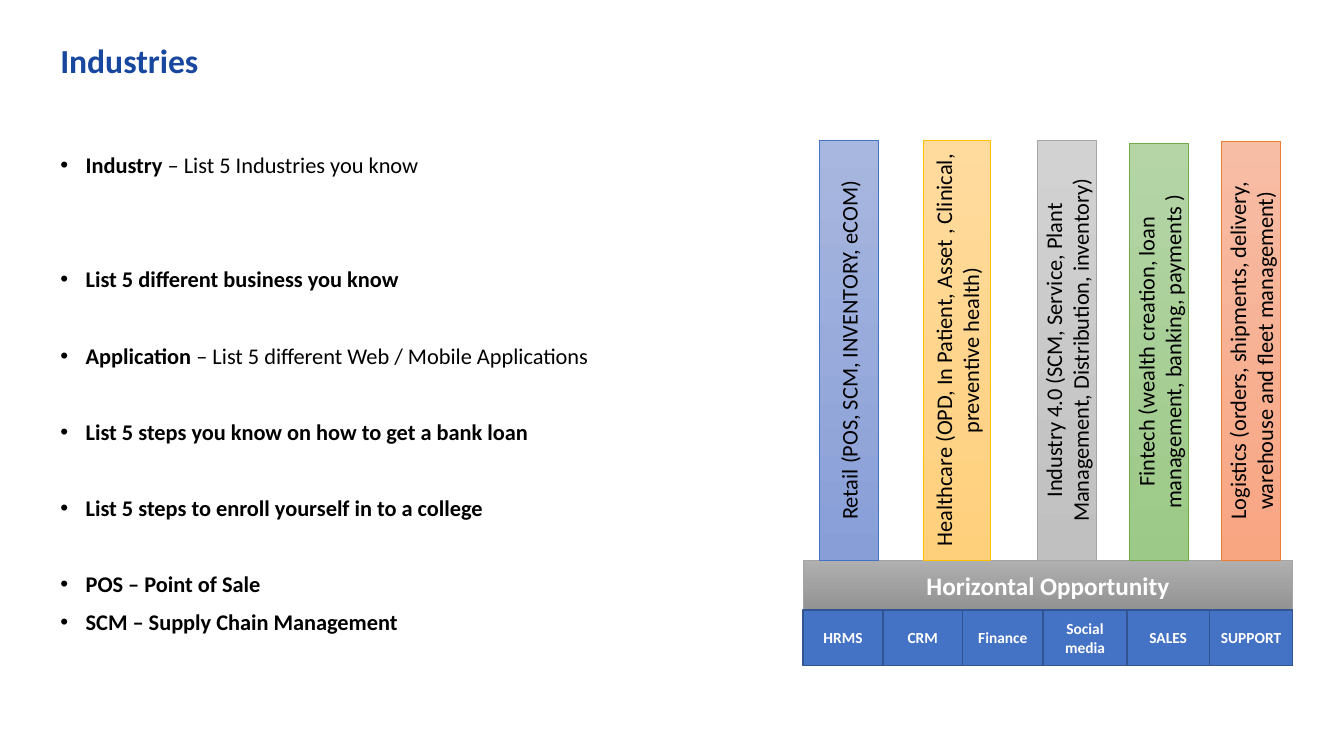
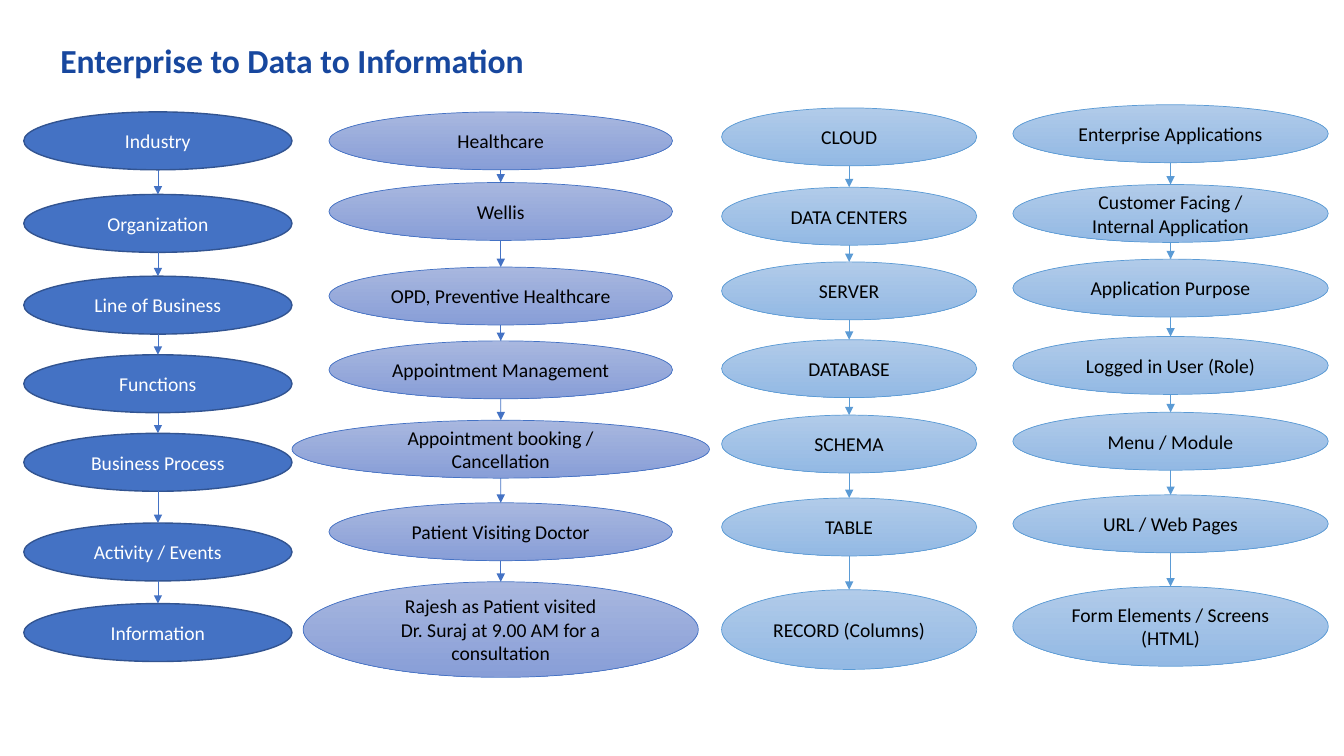
from dataclasses import dataclass
from itertools import pairwise

from lxml import etree
from pptx import Presentation
from pptx import util as u
from pptx.dml.color import RGBColor
from pptx.enum import shapes, text
from pptx.oxml import ns

FONT = "Calibri"
COLORS = {
    "title": "17479E",
    "black": "000000",
    "white": "FFFFFF",
    "blue": "4472C4",
    "navy": "325491",
    "blue_top": "A8B7DF",
    "blue_bottom": "889ED7",
    "sky": "5B9BD5",
    "sky_top": "B1CBE9",
    "sky_bottom": "93B9E4",
    "gold": "FFC000",
    "gold_top": "FFDB9E",
    "gold_bottom": "FFD07C",
    "gray": "A5A5A5",
    "gray_top": "D2D2D2",
    "gray_bottom": "C0C0C0",
    "base_top": "AFAFAF",
    "base_bottom": "939393",
    "green": "70AD47",
    "green_top": "B5D5A7",
    "green_bottom": "9CC987",
    "orange": "ED7D31",
    "orange_top": "F7BDA5",
    "orange_bottom": "F8A582",
}


@dataclass(frozen=True)
class Style:
    fill: tuple
    outline: str
    ink: str = "black"
    outline_width: float = 0.5


SOLID = Style(("blue",), "navy", "white", 1)
BASE = Style(("base_top", "base_bottom"), "gray", "white")
BLUE, SKY, GOLD, GRAY, GREEN, ORANGE = (
    Style((f"{hue}_top", f"{hue}_bottom"), hue)
    for hue in ("blue", "sky", "gold", "gray", "green", "orange")
)

QUESTIONS = [
    ("Industry ", "– List 5 Industries you know", 0),
    ("List 5 different business you know", "", 2),
    ("Application ", "– List 5 different Web / Mobile Applications", 1),
    ("List 5 steps you know on how to get a bank loan", "", 1),
    ("List 5 steps to enroll yourself in to a college", "", 1),
    ("POS – Point of Sale", "", 1),
    ("SCM – Supply Chain Management", "", 0),
]

PILLARS = [
    ("Retail (POS, SCM, INVENTORY, eCOM)", 20.65, 3.54, 1.48, BLUE),
    ("Healthcare (OPD, In Patient, Asset , Clinical, preventive health)",
     23.27, 3.54, 1.68, GOLD),
    ("Industry 4.0 (SCM, Service, Plant Management, Distribution, inventory)",
     26.14, 3.54, 1.48, GRAY),
    ("Fintech (wealth creation, loan management, banking, payments )",
     28.47, 3.61, 1.48, GREEN),
    ("Logistics (orders, shipments, delivery, warehouse and fleet management)",
     30.78, 3.56, 1.48, ORANGE),
]

FUNCTIONS = ["HRMS", "CRM", "Finance", "Social media", "SALES", "SUPPORT"]
FUNCTION_EDGES = [20.24, 22.25, 24.26, 26.29, 28.4, 30.48, 32.58]

NODE_HEIGHT = 1.46
ENTERPRISE = [
    ("Industry", 2.82),
    ("Organization", 4.9),
    ("Line of Business", 6.96),
    ("Functions", 8.94),
    ("Business Process", 10.92),
    ("Activity / Events", 13.18),
    ("Information", 15.21),
]
EXAMPLE = [
    ("Healthcare", 2.82),
    ("Wellis", 4.6),
    ("OPD, Preventive Healthcare", 6.73),
    ("Appointment Management", 8.59),
    ("Appointment booking / Cancellation", 10.59, NODE_HEIGHT, 10.52),
    ("Patient Visiting Doctor", 12.67),
    ("Rajesh as Patient visited\nDr. Suraj at 9.00 AM for a consultation",
     14.66, 2.41, 9.96),
]
DATA = [
    ("CLOUD", 2.72),
    ("DATA CENTERS", 4.72),
    ("SERVER", 6.6),
    ("DATABASE", 8.56),
    ("SCHEMA", 10.46),
    ("TABLE", 12.55),
    ("RECORD (Columns)", 14.86, 2.01),
]
APPLICATION = [
    ("Enterprise Applications", 2.64),
    ("Customer Facing / Internal Application", 4.65),
    ("Application Purpose", 6.53),
    ("Logged in User (Role)", 8.48),
    ("Menu / Module", 10.39),
    ("URL / Web Pages", 12.47),
    ("Form Elements / Screens (HTML)", 14.78, 2.01),
]


def rgb(name):
    return RGBColor.from_string(COLORS[name])


def set_font(paragraph, size, color, bold=None):
    font = paragraph.font
    font.name, font.size, font.bold = FONT, u.Pt(size), bold
    font.color.rgb = rgb(color)


def add_text_frame(slide, left, top, width, height):
    box = slide.shapes.add_textbox(*map(u.Cm, (left, top, width, height)))
    box.text_frame.word_wrap = True
    return box.text_frame


def add_titled_slide(deck, title):
    slide = deck.slides.add_slide(deck.slide_layouts[6])
    heading = add_text_frame(slide, 1.27, 0.38, 24.31, 1.6).paragraphs[0]
    heading.text = title
    heading.line_spacing = 1.5
    set_font(heading, 24, "title", True)
    return slide


def add_bullets(slide, questions):
    frame = add_text_frame(slide, 1.27, 3.76, 17.96, 12.17)
    for index, (lead, detail, skipped_lines) in enumerate(questions):
        paragraph = frame.add_paragraph() if index else frame.paragraphs[0]
        paragraph.alignment = text.PP_ALIGN.JUSTIFY
        paragraph.line_spacing = 0.9
        paragraph.space_before = u.Pt(10 + 27.2 * skipped_lines)
        set_font(paragraph, 16, "black", None if detail else True)
        for words, bold in ((lead, True), (detail, False)):
            if words:
                run = paragraph.add_run()
                run.text = words
                if detail:
                    run.font.bold = bold
        properties = paragraph._p.get_or_add_pPr()
        indent = u.Cm(0.64)
        properties.set("marL", str(indent))
        properties.set("indent", str(-indent))
        bullet_font = etree.Element(ns.qn("a:buFont"), typeface="Arial")
        bullet = etree.Element(ns.qn("a:buChar"), char="•")
        defaults = properties.find(ns.qn("a:defRPr"))
        defaults.addprevious(bullet_font)
        defaults.addprevious(bullet)


def add_block(slide, kind, label, bounds, style, size, bold=None):
    block = slide.shapes.add_shape(kind, *map(u.Cm, bounds))
    block.shadow.inherit = False
    if len(style.fill) == 1:
        block.fill.solid()
        block.fill.fore_color.rgb = rgb(style.fill[0])
    else:
        block.fill.gradient()
        block.fill.gradient_angle = 270
        for stop, color in zip(block.fill.gradient_stops, style.fill):
            stop.color.rgb = rgb(color)
    block.line.color.rgb = rgb(style.outline)
    block.line.width = u.Pt(style.outline_width)
    frame = block.text_frame
    frame.text = label
    frame.word_wrap = True
    frame.vertical_anchor = text.MSO_ANCHOR.MIDDLE
    for paragraph in frame.paragraphs:
        paragraph.alignment = text.PP_ALIGN.CENTER
        set_font(paragraph, size, style.ink, bold)
    return block


def add_pillar(slide, label, left, top, width, style):
    pillar = add_block(slide, shapes.MSO_SHAPE.RECTANGLE, label,
                       (left, top, width, 14.12 - top), style, 16)
    pillar.text_frame._txBody.bodyPr.set("vert", "vert270")


def add_arrow(slide, source, target, color):
    center = source.left + source.width // 2
    arrow = slide.shapes.add_connector(
        shapes.MSO_CONNECTOR.STRAIGHT,
        center, source.top + source.height, center, target.top)
    arrow.end_connect(target, 0)
    arrow.line.color.rgb = rgb(color)
    arrow.line.width = u.Pt(0.5)
    etree.SubElement(arrow.line._get_or_add_ln(), ns.qn("a:tailEnd"),
                     type="triangle")
    etree.SubElement(arrow._element.spPr, ns.qn("a:effectLst"))


def add_chain(slide, steps, center, usual_width, style, arrow_color):
    nodes = []
    for label, top, *custom in steps:
        height = custom[0] if custom else NODE_HEIGHT
        width = custom[1] if len(custom) > 1 else usual_width
        nodes.append(add_block(slide, shapes.MSO_SHAPE.OVAL, label,
                               (center - width / 2, top, width, height),
                               style, 14))
    for source, target in pairwise(nodes):
        add_arrow(slide, source, target, arrow_color)


def build_industries(deck):
    slide = add_titled_slide(deck, "Industries")
    add_bullets(slide, QUESTIONS)
    rectangle = shapes.MSO_SHAPE.RECTANGLE
    add_block(slide, rectangle, "Horizontal Opportunity",
              (20.24, 14.12, 12.34, 1.25), BASE, 18, True)
    for pillar in PILLARS:
        add_pillar(slide, *pillar)
    for label, (left, right) in zip(FUNCTIONS, pairwise(FUNCTION_EDGES)):
        add_block(slide, rectangle, label, (left, 15.37, right - left, 1.4),
                  SOLID, 11, True)


def build_enterprise(deck):
    slide = add_titled_slide(deck, "Enterprise to Data to Information")
    add_chain(slide, ENTERPRISE, 3.98, 6.76, SOLID, "blue")
    add_chain(slide, EXAMPLE, 12.62, 8.66, BLUE, "blue")
    add_chain(slide, DATA, 21.4, 6.43, SKY, "sky")
    add_chain(slide, APPLICATION, 29.5, 7.95, SKY, "sky")


def main():
    deck = Presentation()
    deck.slide_width, deck.slide_height = u.Cm(33.87), u.Cm(19.05)
    build_industries(deck)
    build_enterprise(deck)
    deck.save("out.pptx")


if __name__ == "__main__":
    main()
